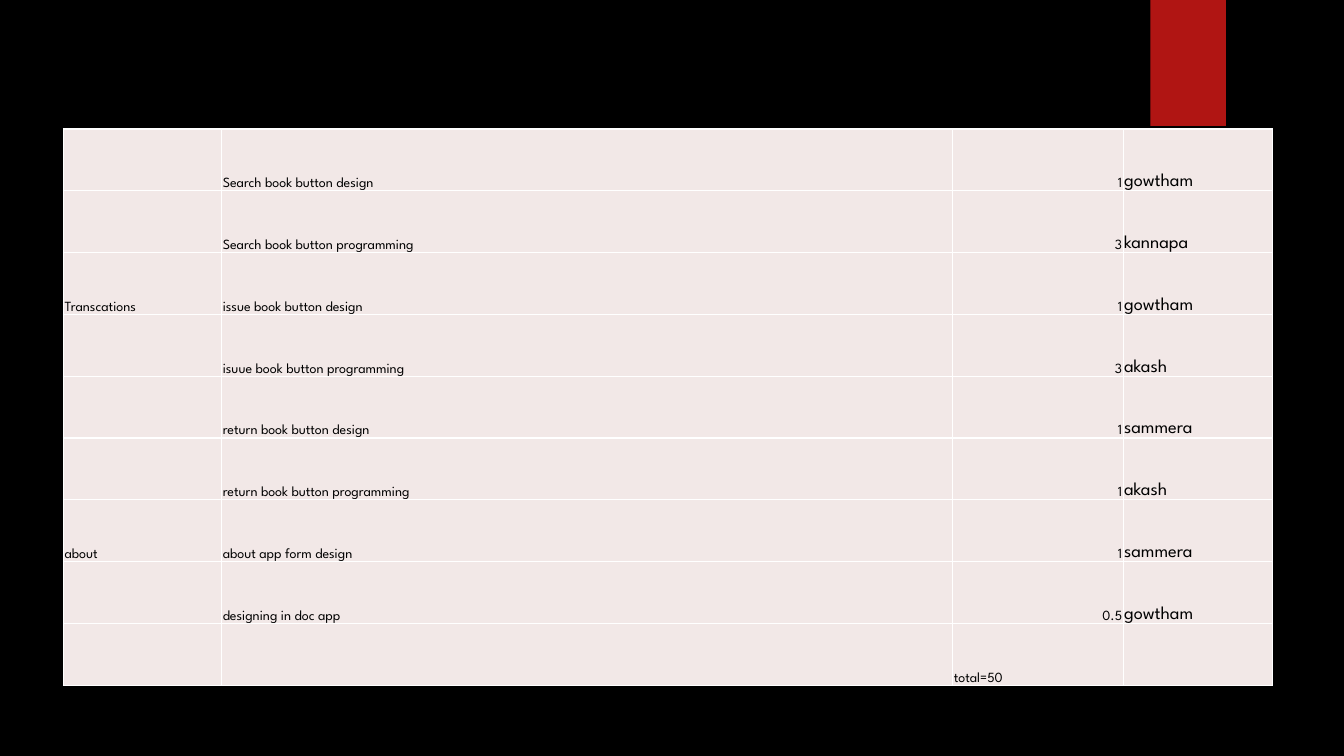
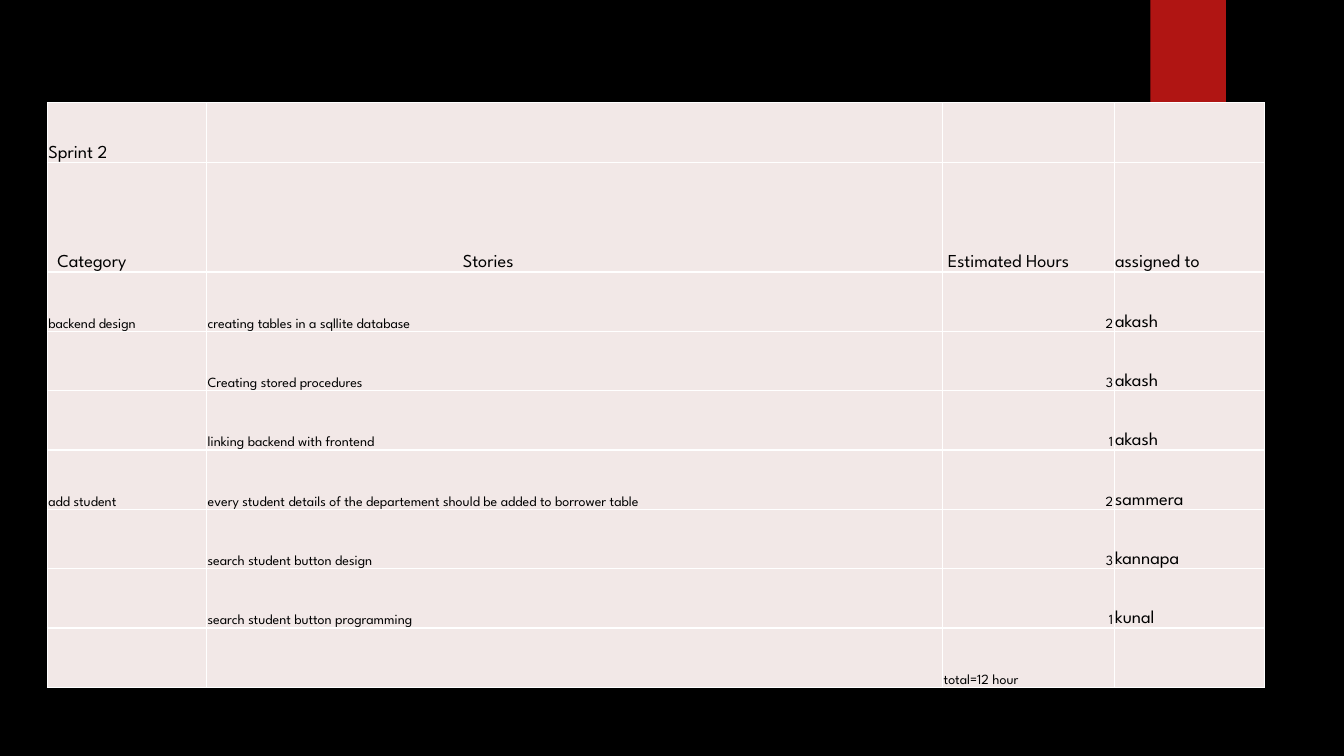
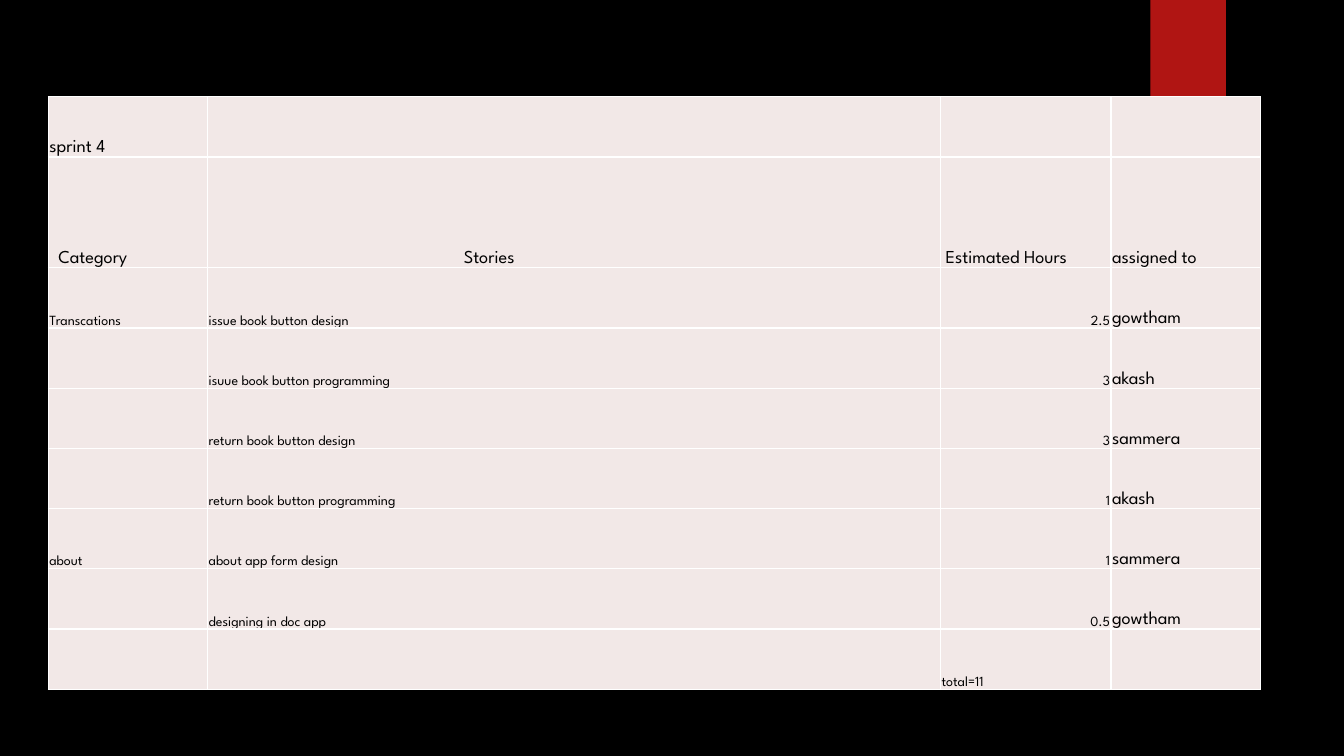
"""Build three sprint backlog table slides."""
from dataclasses import dataclass

from lxml.etree import SubElement
from pptx import Presentation
from pptx.dml.color import RGBColor as RGB
from pptx.enum.shapes import MSO_SHAPE as SHAPE
from pptx.enum.text import MSO_ANCHOR as ANCHOR, PP_ALIGN as ALIGN
from pptx.oxml.ns import qn
from pptx.util import Pt

PX = 9144


def px(n):
    return round(n * PX)


@dataclass(frozen=True)
class Theme:
    back: str = "000000"
    tag: str = "B01513"
    cell: str = "F2E8E7"
    border: str = "FFFFFF"
    text: str = "000000"
    font: str = "League Spartan"
    small: int = 10
    large: int = 13
    border_width: int = 1


def put_text(tf, text, *, size, color, font, align=ALIGN.LEFT):
    p = tf.paragraphs[0]
    p.alignment = align
    r = p.add_run()
    r.text = text
    r.font.size = Pt(size)
    r.font.name = font
    r.font.color.rgb = RGB.from_string(color)


class Deck:
    def __init__(self, theme):
        self.theme = theme
        self.prs = Presentation()
        self.prs.slide_width, self.prs.slide_height = px(1333), px(750)
        self.fill(self.prs.slide_master.background, theme.back)
        self.s = None

    def fill(self, target, color):
        target.fill.solid()
        target.fill.fore_color.rgb = RGB.from_string(color)

    def slide(self):
        self.s = self.prs.slides.add_slide(self.prs.slide_layouts[6])
        self.tag()

    def tag(self):
        sp = self.s.shapes.add_shape(SHAPE.RECTANGLE, px(1141), 0, px(75), px(125))
        sp.shadow.inherit = False
        sp.line.fill.background()
        self.fill(sp, self.theme.tag)

    def borders(self, cell):
        tc_pr = cell._tc.get_or_add_tcPr()
        for side in ("lnL", "lnR", "lnT", "lnB"):
            ln = SubElement(tc_pr, qn(f"a:{side}"), w=str(Pt(self.theme.border_width)))
            solid = SubElement(ln, qn("a:solidFill"))
            SubElement(solid, qn("a:srgbClr"), val=self.theme.border)

    def cell(self, cell, text, *, size, left=1, align=ALIGN.LEFT):
        self.borders(cell)
        self.fill(cell, self.theme.cell)
        cell.vertical_anchor = ANCHOR.BOTTOM
        cell.margin_left, cell.margin_right = px(left), px(1)
        cell.margin_top, cell.margin_bottom = px(1), 0
        if text:
            put_text(cell.text_frame, text, size=size, align=align,
                     color=self.theme.text, font=self.theme.font)

    def backlog(self, x, y, height, cols, stories, total, sprint=None, head_height=0):
        t = self.theme
        heads = [(sprint, "", "", ""), HEADINGS] if sprint else []
        rows = [*heads, *stories, ("", "", total, "")]
        frame = self.s.shapes.add_table(len(rows), len(cols), px(x), px(y),
                                        px(sum(cols)), px(height))
        table = frame.table
        table.first_row = table.horz_banding = False
        for col, width in zip(table.columns, cols):
            col.width = px(width)
        if sprint:
            for row in table.rows:
                row.height = px((height - head_height) / (len(rows) - 1))
            table.rows[1].height = px(head_height)
        for i, row in enumerate(rows):
            for j, text in enumerate(row):
                is_head = i < len(heads)
                is_hours = j == 2 and not is_head and text != total
                self.cell(table.cell(i, j), text,
                          size=t.large if is_head or j == 3 else t.small,
                          left=HEADING_INSETS[j] if row is HEADINGS else 1,
                          align=ALIGN.RIGHT if is_hours else ALIGN.LEFT)


HEADINGS = ("Category", "Stories", "Estimated Hours", "assigned to")
HEADING_INSETS = (10, 254, 5, 1)

BACKLOGS = [
    dict(x=63, y=128, height=552, cols=(157, 725, 169, 148), total="total=50", stories=[
        ("", "Search book button design", "1", "gowtham"),
        ("", "Search book button programming", "3", "kannapa"),
        ("Transcations", "issue book button design", "1", "gowtham"),
        ("", "isuue book button programming", "3", "akash"),
        ("", "return book button design", "1", "sammera"),
        ("", "return book button programming", "1", "akash"),
        ("about", "about app form design", "1", "sammera"),
        ("", "designing in doc app", "0.5", "gowtham"),
    ]),
    dict(x=47, y=102, height=580, cols=(158, 730, 170, 149), total="total=12 hour",
         sprint="Sprint 2", head_height=109, stories=[
        ("backend design", "creating tables in a sqllite database", "2", "akash"),
        ("", "Creating stored procedures", "3", "akash"),
        ("", "linking backend with frontend", "1", "akash"),
        ("add student",
         "every student details of the departement should be added to borrower table",
         "2", "sammera"),
        ("", "search student button design", "3", "kannapa"),
        ("", "search student button programming", "1", "kunal"),
    ]),
    dict(x=48, y=96, height=588, cols=(158, 727, 169, 148), total="total=11",
         sprint="sprint 4", head_height=110, stories=[
        ("Transcations", "issue book button design", "2.5", "gowtham"),
        ("", "isuue book button programming", "3", "akash"),
        ("", "return book button design", "3", "sammera"),
        ("", "return book button programming", "1", "akash"),
        ("about", "about app form design", "1", "sammera"),
        ("", "designing in doc app", "0.5", "gowtham"),
    ]),
]


def main():
    deck = Deck(Theme())
    for backlog in BACKLOGS:
        deck.slide()
        deck.backlog(**backlog)
    deck.prs.save("out.pptx")


if __name__ == "__main__":
    main()
